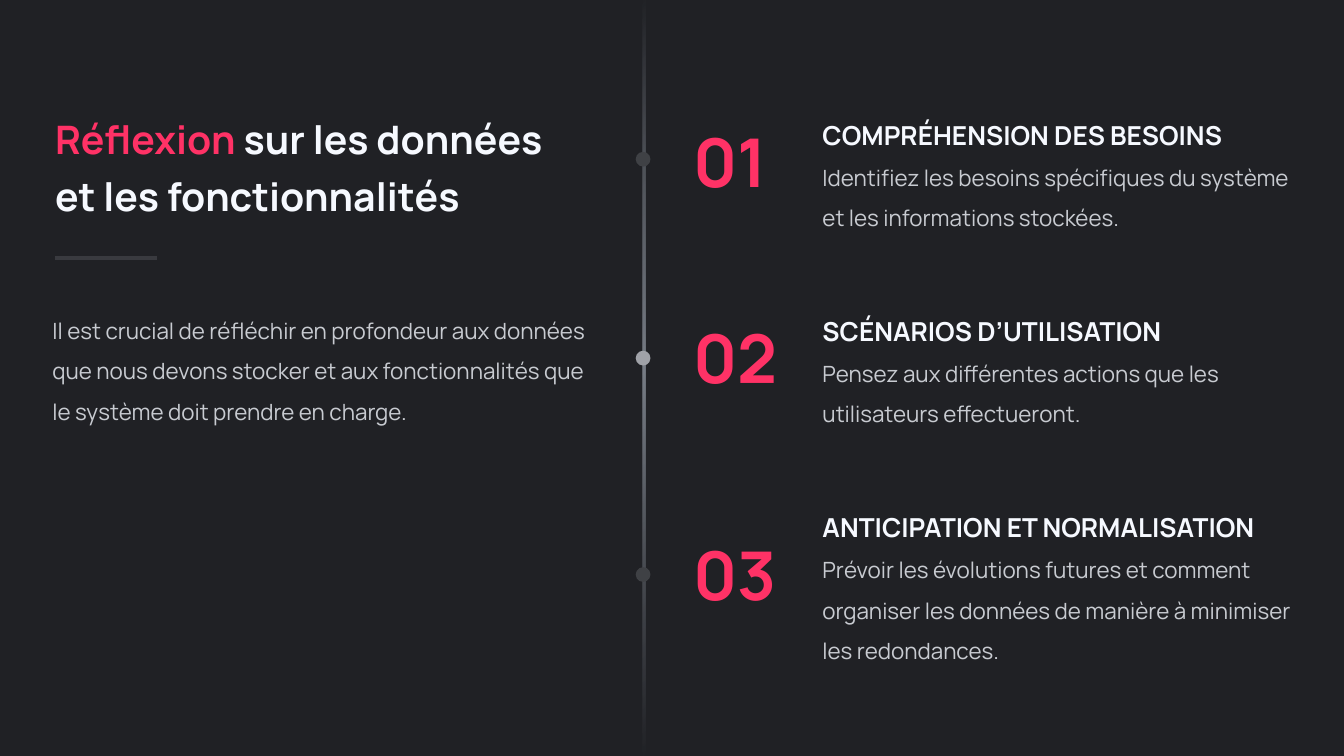
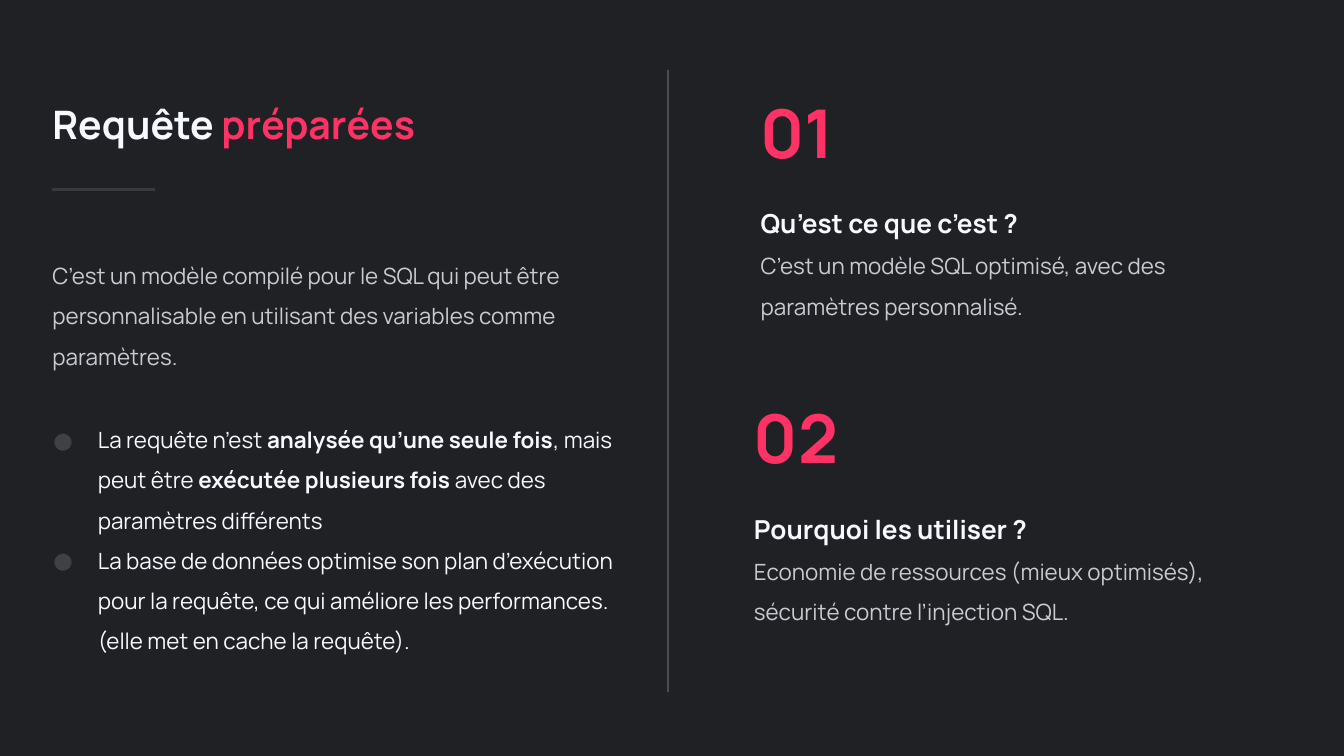
import dataclasses
import typing

import lxml.etree
import pptx
import pptx.dml.color
import pptx.enum.shapes
import pptx.enum.text
import pptx.oxml.ns
import pptx.slide
import pptx.text.text
import pptx.util

Inches = pptx.util.Inches
qn = pptx.oxml.ns.qn

FONT = "Manrope"
BACKGROUND = "202125"
ACCENT = "FF3266"
WHITE = "F6F9FF"
GREY = "C8CBD1"
RULE = "393A3F"
BULLET = "404145"
DOT = "3F4145"
ACTIVE_DOT = "A0A2A8"
GLOW = "B1BAC6"

SLIDE_WIDTH = 10
SLIDE_HEIGHT = SLIDE_WIDTH * 9 / 16
NUMBER_WIDTH, NUMBER_HEIGHT = 0.8, 0.61
ENTRY_WIDTH = 3.63
TITLE_WIDTH, INTRO_WIDTH = 4.54, 4.02
DOT_SIZE = 0.11


@dataclasses.dataclass(frozen=True)
class Run:
    text: str
    color: str = GREY
    size: float = 12
    bold: bool = False


@dataclasses.dataclass(frozen=True)
class Entry:
    heading: str
    body: str
    height: float = 0.86


Paragraphs = typing.Sequence[typing.Sequence[Run]]


def rgb(color: str) -> pptx.dml.color.RGBColor:
    return pptx.dml.color.RGBColor.from_string(color)


def add_element(parent: typing.Any, tag: str, **attributes: typing.Any) -> typing.Any:
    values = {name: str(value) for name, value in attributes.items()}
    return lxml.etree.SubElement(parent, qn(tag), values)


def add_bullet(paragraph: pptx.text.text._Paragraph) -> None:
    properties = paragraph._p.get_or_add_pPr()
    properties.set("marL", str(Inches(0.5)))
    properties.set("indent", str(Inches(-0.33)))
    add_element(add_element(properties, "a:buClr"), "a:srgbClr", val=BULLET)
    add_element(properties, "a:buFont", typeface=FONT)
    add_element(properties, "a:buChar", char="●")


def add_text(
    slide: pptx.slide.Slide, left: float, top: float, width: float, height: float,
    paragraphs: Paragraphs, *, line_spacing: typing.Optional[float] = 1.5,
    inset: float = 0, bulleted: bool = False, grow: bool = True,
) -> None:
    """Add a wrapped text box; a newline inside a run becomes a line break."""
    box = slide.shapes.add_textbox(Inches(left), Inches(top), Inches(width), Inches(height))
    frame = box.text_frame
    frame.word_wrap = True
    sizes = pptx.enum.text.MSO_AUTO_SIZE
    frame.auto_size = sizes.SHAPE_TO_FIT_TEXT if grow else sizes.NONE
    frame.margin_left = frame.margin_right = Inches(inset)
    frame.margin_top = frame.margin_bottom = Inches(inset)
    for index, runs in enumerate(paragraphs):
        paragraph = frame.add_paragraph() if index else frame.paragraphs[0]
        if line_spacing:
            paragraph.line_spacing = line_spacing
        if bulleted:
            add_bullet(paragraph)
        for part in runs:
            for line_number, line in enumerate(part.text.split("\n")):
                if line_number:
                    paragraph.add_line_break()
                run = paragraph.add_run()
                run.text = line
                run.font.name = FONT
                run.font.size = pptx.util.Pt(part.size)
                run.font.bold = part.bold
                run.font.color.rgb = rgb(part.color)


def add_line(
    slide: pptx.slide.Slide, start: tuple[float, float], end: tuple[float, float],
    color: str, weight: float, opacity: int = 100,
) -> None:
    line = slide.shapes.add_connector(
        pptx.enum.shapes.MSO_CONNECTOR.STRAIGHT, *map(Inches, start + end))
    line.line.color.rgb = rgb(color)
    line.line.width = pptx.util.Pt(weight)
    properties = line._element.spPr
    if opacity < 100:
        add_element(properties.find(".//" + qn("a:srgbClr")), "a:alpha", val=opacity * 1000)
    add_element(properties, "a:effectLst")


def add_plain_shape(
    slide: pptx.slide.Slide, kind: pptx.enum.shapes.MSO_SHAPE,
    left: float, top: float, width: float, height: float, color: str,
) -> typing.Any:
    shape = slide.shapes.add_shape(
        kind, Inches(left), Inches(top), Inches(width), Inches(height))
    shape.shadow.inherit = False
    shape.fill.solid()
    shape.fill.fore_color.rgb = rgb(color)
    shape.line.fill.background()
    return shape


def add_timeline(slide: pptx.slide.Slide) -> None:
    """Draw the vertical bar that fades at both ends, with its three dots."""
    shapes = pptx.enum.shapes.MSO_SHAPE
    bar = add_plain_shape(slide, shapes.RECTANGLE, 4.78, 0, 0.02, SLIDE_HEIGHT, GLOW)
    bar.fill.gradient()
    gradient = bar._element.spPr.find(qn("a:gradFill"))
    for child in list(gradient):
        gradient.remove(child)
    stops = add_element(gradient, "a:gsLst")
    for position, opacity in ((0, 0), (21, 30), (49, 60), (73, 30), (100, 0)):
        stop = add_element(stops, "a:gs", pos=position * 1000)
        color = add_element(stop, "a:srgbClr", val=GLOW)
        add_element(color, "a:alpha", val=opacity * 1000)
    circle = add_element(gradient, "a:path", path="circle")
    add_element(circle, "a:fillToRect", r=100000, b=100000)

    for top, color in ((2.61, ACTIVE_DOT), (1.13, DOT), (4.22, DOT)):
        add_plain_shape(slide, shapes.OVAL, 4.73, top, DOT_SIZE, DOT_SIZE, color)


def add_title(
    slide: pptx.slide.Slide, left: float, top: float, height: float,
    rule_top: float, parts: typing.Sequence[tuple[str, str]],
) -> None:
    """Add the two-coloured title and the short rule below it."""
    runs = [Run(text, color, 21, True) for text, color in parts]
    add_text(slide, left, top, TITLE_WIDTH, height, [runs], line_spacing=1.2)
    add_line(slide, (left, rule_top), (left + 0.76, rule_top), RULE, 2)


def add_entry(
    slide: pptx.slide.Slide, entry: Entry, number: int, left: float, top: float,
    number_left: float, number_top: float,
) -> None:
    heading = [Run(entry.heading, WHITE, 14, True)]
    add_text(slide, left, top, ENTRY_WIDTH, entry.height, [heading, [Run(entry.body)]])
    add_text(slide, number_left, number_top, NUMBER_WIDTH, NUMBER_HEIGHT,
             [[Run(f"{number:02}", ACCENT, 36, True)]], line_spacing=None)


def add_slide(presentation: typing.Any) -> pptx.slide.Slide:
    slide = presentation.slides.add_slide(presentation.slide_layouts[6])
    slide.background.fill.solid()
    slide.background.fill.fore_color.rgb = rgb(BACKGROUND)
    return slide


def build_reflection(presentation: typing.Any) -> None:
    slide = add_slide(presentation)
    add_title(slide, 0.41, 0.79, 0.78, 1.92, [
        ("Réflexion", ACCENT), (" sur les données\net les fonctionnalités", WHITE)])
    add_text(slide, 0.39, 2.26, INTRO_WIDTH, 1.11, [[Run(
        "Il est crucial de réfléchir en profondeur aux données que nous devons stocker "
        "et aux fonctionnalités que le système doit prendre en charge.")]])
    entries = [
        Entry("COMPRÉHENSION DES BESOINS",
              "Identifiez les besoins spécifiques du système et les informations stockées."),
        Entry("SCÉNARIOS D’UTILISATION",
              "Pensez aux différentes actions que les utilisateurs effectueront."),
        Entry("ANTICIPATION ET NORMALISATION",
              "Prévoir les évolutions futures et comment organiser les données "
              "de manière à minimiser les redondances.", 1.16),
    ]
    for index, entry in enumerate(entries):
        top = 0.77 + 1.46 * index
        number_top = top + (entry.height - NUMBER_HEIGHT) / 2
        add_entry(slide, entry, index + 1, 6.12, top, 5.16, number_top)
    add_timeline(slide)


def build_prepared_query(presentation: typing.Any) -> None:
    slide = add_slide(presentation)
    add_title(slide, 0.39, 0.68, 0.35, 1.41, [("Requête ", WHITE), ("préparées", ACCENT)])
    add_text(slide, 0.39, 1.85, INTRO_WIDTH, 0.81, [[Run(
        "C’est un modèle compilé pour le SQL qui peut être personnalisable "
        "en utilisant des variables comme paramètres.")]])
    entries = [
        (5.66, Entry("Qu’est ce que c’est ?",
                     "C’est un modèle SQL optimisé, avec des paramètres personnalisé.")),
        (5.61, Entry("Pourquoi les utiliser ?",
                     "Economie de ressources (mieux optimisés), "
                     "sécurité contre l’injection SQL.")),
    ]
    for index, (left, entry) in enumerate(entries):
        number_top = 0.68 + 2.27 * index
        add_entry(slide, entry, index + 1, left, number_top + 0.75, left, number_top)
    add_text(slide, 0.13, 2.97, TITLE_WIDTH, 2.27, [
        [Run("La requête n’est ", WHITE),
         Run("analysée qu’une seule fois", WHITE, bold=True),
         Run(", mais peut être ", WHITE),
         Run("exécutée plusieurs fois", WHITE, bold=True),
         Run(" avec des paramètres différents", WHITE)],
        [Run("La base de données optimise son plan d’exécution pour la requête, ce qui "
             "améliore les performances. (elle met en cache la requête).", WHITE)],
    ], inset=0.1, bulleted=True, grow=False)
    add_line(slide, (4.97, 0.52), (4.97, 5.15), WHITE, 1, opacity=20)


def main() -> None:
    presentation = pptx.Presentation()
    presentation.slide_width = Inches(SLIDE_WIDTH)
    presentation.slide_height = Inches(SLIDE_HEIGHT)
    build_reflection(presentation)
    build_prepared_query(presentation)
    presentation.save("out.pptx")


if __name__ == "__main__":
    main()
